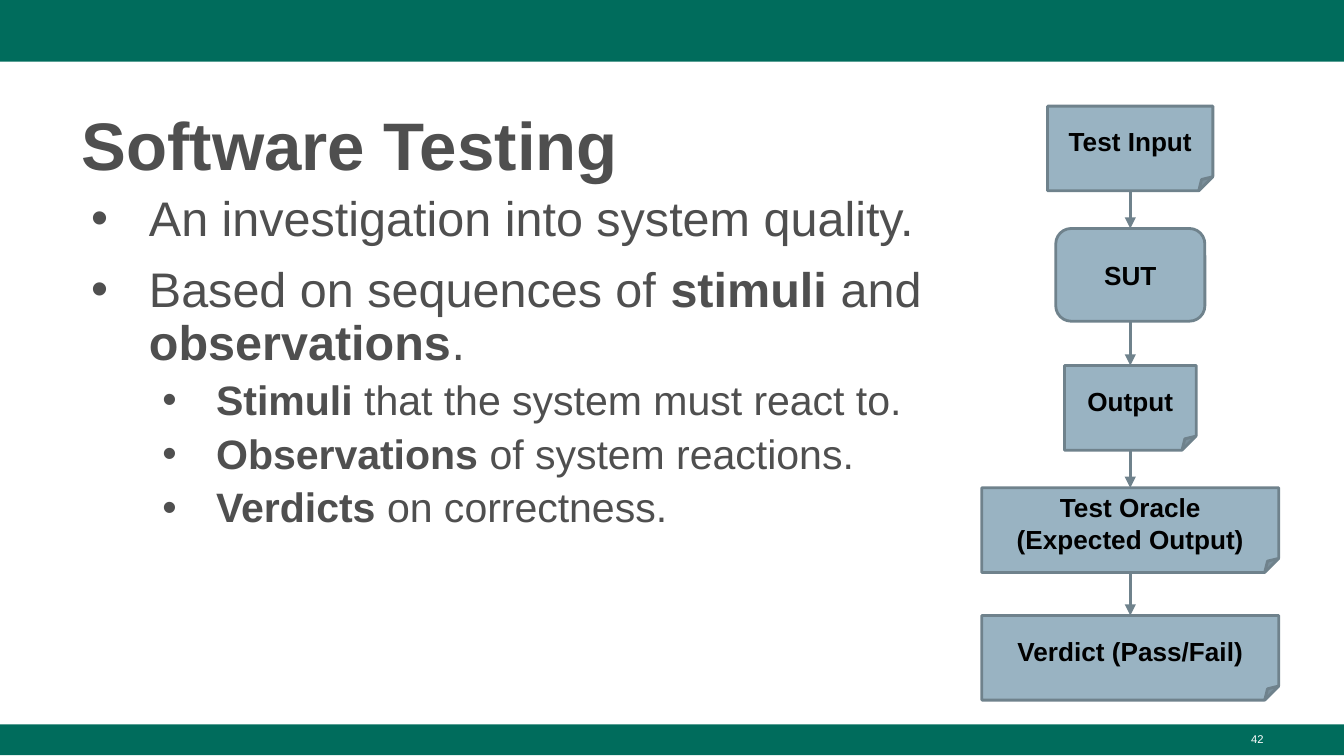
from pptx import Presentation
from pptx.dml.color import RGBColor
from pptx.enum.shapes import MSO_CONNECTOR, MSO_SHAPE
from pptx.enum.text import MSO_ANCHOR, PP_ALIGN
from pptx.oxml.ns import qn
from pptx.util import Inches, Pt
from lxml import etree

RECT, ROUND, NOTE = MSO_SHAPE.RECTANGLE, MSO_SHAPE.ROUNDED_RECTANGLE, MSO_SHAPE.FOLDED_CORNER
LINE = MSO_CONNECTOR.STRAIGHT
TOP, MIDDLE, BOTTOM = MSO_ANCHOR.TOP, MSO_ANCHOR.MIDDLE, MSO_ANCHOR.BOTTOM
LEFT, CENTER, RIGHT = PP_ALIGN.LEFT, PP_ALIGN.CENTER, PP_ALIGN.RIGHT

COLORS = {
    "band": "006C5C",
    "text": "4F4F4F",
    "node": "99B3C2",
    "edge": "6F828C",
    "label": "000000",
    "white": "FFFFFF",
}
AXIS = 8.41


def color(name):
    return RGBColor.from_string(COLORS[name])


class Deck:
    font = "Arial"

    def __init__(self, slide):
        self.slide = slide

    def style(self, run, size, tone, bold=False):
        run.font.name = self.font
        run.font.size = Pt(size)
        run.font.bold = bold
        run.font.color.rgb = color(tone)

    def shape(self, kind, x, y, w, h, fill):
        shape = self.slide.shapes.add_shape(kind, Inches(x), Inches(y), Inches(w), Inches(h))
        shape.shadow.inherit = False
        shape.fill.solid()
        shape.fill.fore_color.rgb = color(fill)
        return shape

    def band(self, y, h):
        self.shape(RECT, 0, y, 10, h, "band").line.fill.background()

    def box(self, x, y, w, h, anchor=TOP):
        frame = self.slide.shapes.add_textbox(Inches(x), Inches(y), Inches(w), Inches(h)).text_frame
        frame.word_wrap = True
        frame.vertical_anchor = anchor
        return frame

    def text(self, frame, words, size, tone, bold=False, align=LEFT):
        frame.text = words
        para = frame.paragraphs[0]
        para.alignment = align
        self.style(para.runs[0], size, tone, bold)
        return para

    def bullet(self, para, level, parts):
        indent, hang, size, space = [(0.5, 0.43, 26, 10), (1, 0.4, 22, 5)][level]
        para.level = level
        props = para._p.get_or_add_pPr()
        props.set("marL", str(Inches(indent)))
        props.set("indent", str(-Inches(hang)))
        tint = etree.SubElement(props, qn("a:buClr"))
        etree.SubElement(tint, qn("a:srgbClr"), val=COLORS["text"])
        etree.SubElement(props, qn("a:buFont"), typeface=self.font)
        etree.SubElement(props, qn("a:buChar"), char="•")
        para.line_spacing = 0.9
        para.space_before = Pt(space)
        for words, bold in parts:
            run = para.add_run()
            run.text = words
            self.style(run, size, "text", bold)

    def bullets(self, frame, items):
        for i, (level, parts) in enumerate(items):
            para = frame.add_paragraph() if i else frame.paragraphs[0]
            self.bullet(para, level, parts)
        frame.paragraphs[0].space_before = Pt(0)

    def node(self, kind, label, y, w, h):
        shape = self.shape(kind, AXIS - w / 2, y, w, h, "node")
        shape.line.color.rgb = color("edge")
        shape.line.width = Pt(1.5)
        frame = shape.text_frame
        frame.word_wrap = True
        frame.vertical_anchor = MIDDLE
        frame.margin_left = frame.margin_right = Inches(0.1)
        frame.margin_top = frame.margin_bottom = Inches(0.1)
        self.text(frame, label, 14, "label", True, CENTER)

    def arrow(self, start, end):
        line = self.slide.shapes.add_connector(
            LINE, Inches(AXIS), Inches(start), Inches(AXIS), Inches(end))
        line.line.color.rgb = color("edge")
        line.line.width = Pt(1.5)
        etree.SubElement(line.line._get_or_add_ln(), qn("a:tailEnd"), type="triangle")
        etree.SubElement(line._element.spPr, qn("a:effectLst"))


def main():
    show = Presentation()
    show.slide_width = Inches(10)
    show.slide_height = show.slide_width * 9 // 16
    deck = Deck(show.slides.add_slide(show.slide_layouts[6]))

    deck.band(0, 0.46)
    deck.band(5.39, 0.23)

    title = deck.box(0.51, 0.67, 8.99, 0.73, BOTTOM)
    title.margin_bottom = Inches(0.03)
    deck.text(title, "Software Testing", 36, "text", True).line_spacing = 1.08

    deck.bullets(deck.box(0.51, 1.4, 6.48, 3.81), [
        (0, [("An investigation into system quality.", False)]),
        (0, [("Based on sequences of ", False), ("stimuli", True), (" and ", False),
             ("observations", True), (".", False)]),
        (1, [("Stimuli ", True), ("that the system must react to.", False)]),
        (1, [("Observations", True), (" of system reactions.", False)]),
        (1, [("Verdicts ", True), ("on correctness.", False)]),
    ])

    deck.text(deck.box(7.17, 5.4, 2.33, 0.23), "42", 6, "white", align=RIGHT)

    nodes = [
        (NOTE, "Test Input", 0.79, 1.23, 0.63),
        (ROUND, "SUT", 1.7, 1.11, 0.69),
        (NOTE, "Output", 2.72, 0.98, 0.63),
        (NOTE, "Test Oracle (Expected Output)", 3.63, 2.21, 0.63),
        (NOTE, "Verdict (Pass/Fail)", 4.58, 2.21, 0.63),
    ]
    for node in nodes:
        deck.node(*node)
    for upper, lower in zip(nodes, nodes[1:]):
        deck.arrow(upper[2] + upper[4], lower[2])

    show.save("out.pptx")


if __name__ == "__main__":
    main()
